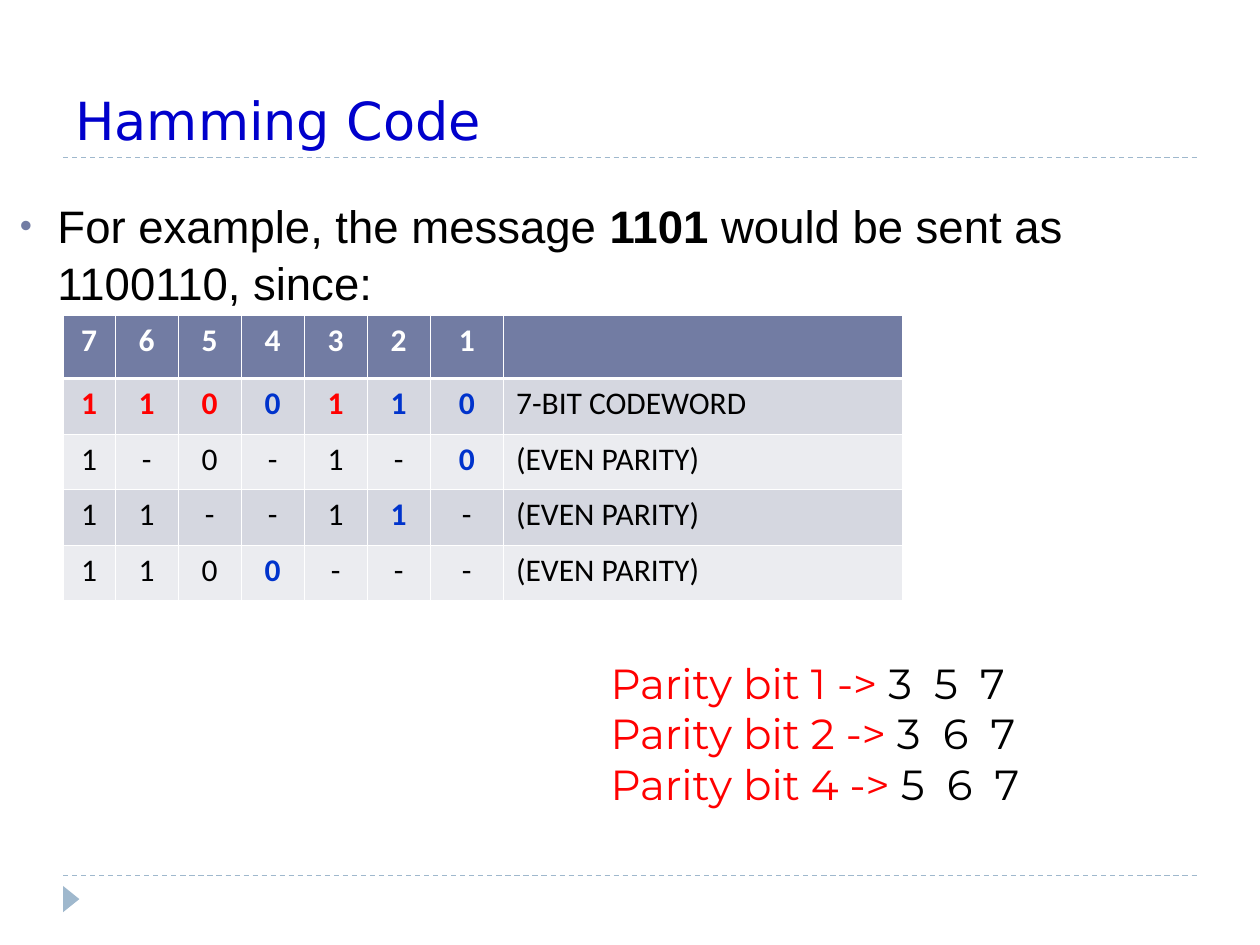
from typing import NamedTuple

import lxml.etree
import pptx
import pptx.dml.color
import pptx.enum.dml
import pptx.enum.shapes
import pptx.enum.text
import pptx.oxml.ns
import pptx.util

Cm, Pt = pptx.util.Cm, pptx.util.Pt
ALIGN = pptx.enum.text.PP_ALIGN
ANCHOR = pptx.enum.text.MSO_ANCHOR

COLORS = {
    "black": "000000", "white": "FFFFFF", "red": "FF0000", "title": "0000CC",
    "parity": "0033CC", "rule": "9FB8CD", "header": "727CA3",
    "band_dark": "D5D7E0", "band_light": "EBECF0",
}


class Box(NamedTuple):
    x: float
    y: float
    w: float
    h: float


class Row(NamedTuple):
    bits: str
    note: str
    fill: str
    red: str = ""   # column numbers of the data bits
    blue: str = ""  # column numbers of the parity bits


class Check(NamedTuple):
    parity: str
    covers: str


COLUMNS = "7654321"
ROWS = [
    Row(COLUMNS, "", "header"),
    Row("1100110", "7-BIT CODEWORD", "band_dark", red="7653", blue="421"),
    Row("1-0-1-0", "(EVEN PARITY)", "band_light", blue="1"),
    Row("11--11-", "(EVEN PARITY)", "band_dark", blue="2"),
    Row("1100---", "(EVEN PARITY)", "band_light", blue="4"),
]
CHECKS = [Check("1", "3 5 7"), Check("2", "3 6 7"), Check("4", "5 6 7")]


def rgb(name: str) -> pptx.dml.color.RGBColor:
    return pptx.dml.color.RGBColor.from_string(COLORS[name])


def sub(parent, tag: str, **attrs: str):
    return lxml.etree.SubElement(parent, pptx.oxml.ns.qn(tag), attrs)


def add_text(p, text: str, *, size: float, font: str, color: str = "black",
             bold: bool = False, spacing: float = 0) -> None:
    r = p.add_run()
    r.text = text
    r.font.size = Pt(size)
    r.font.name = font
    r.font.bold = bold
    r.font.color.rgb = rgb(color)
    if spacing:
        r.font._element.set("spc", str(round(spacing * 100)))


def add_box(s, box: Box, anchor=ANCHOR.TOP):
    tf = s.shapes.add_textbox(*map(Cm, box)).text_frame
    tf.word_wrap = True
    tf.vertical_anchor = anchor
    return tf


def add_rule(s, y: float) -> None:
    line = s.shapes.add_connector(pptx.enum.shapes.MSO_CONNECTOR.STRAIGHT,
                                  Cm(1.27), Cm(y), Cm(24.13), Cm(y))
    line.line.color.rgb = rgb("rule")
    line.line.width = Pt(0.75)
    line.line.dash_style = pptx.enum.dml.MSO_LINE.DASH
    sub(line._element.spPr, "a:effectLst")


def add_bullet(p) -> None:
    pPr = p._p.get_or_add_pPr()
    pPr.set("marL", str(Cm(0.76)))
    pPr.set("indent", str(-Cm(0.76)))
    sub(sub(pPr, "a:buClr"), "a:srgbClr", val=COLORS["header"])
    sub(pPr, "a:buSzPct", val="76000")
    sub(pPr, "a:buFont", typeface="Arial")
    sub(pPr, "a:buChar", char="•")


def style_cell(cell, fill: str, top: float, bottom: float) -> None:
    tcPr = cell._tc.get_or_add_tcPr()
    for side, width in zip("LRTB", (0.45, 0.45, top, bottom)):
        ln = sub(tcPr, f"a:ln{side}", w=str(Pt(width)))
        sub(sub(ln, "a:solidFill"), "a:srgbClr", val=COLORS["white"])
    cell.fill.solid()
    cell.fill.fore_color.rgb = rgb(fill)


def add_code_table(s, box: Box) -> None:
    table = s.shapes.add_table(len(ROWS), len(COLUMNS) + 1, *map(Cm, box)).table
    widths = [1.05] + [1.27] * 5 + [1.48, 8.05]
    for col, width in zip(table.columns, widths):
        col.width = Cm(width)
    for i, row in enumerate(ROWS):
        table.rows[i].height = Cm(1.12 if i else 1.27)
        for j, text in enumerate([*row.bits, row.note]):
            cell = table.cell(i, j)
            style_cell(cell, row.fill, top=1.47 if i == 1 else 0.45,
                       bottom=0.45 if i else 1.47)
            column = COLUMNS[j:j + 1] or "note"
            color = ("white" if i == 0 else "red" if column in row.red
                     else "parity" if column in row.blue else "black")
            p = cell.text_frame.paragraphs[0]
            p.alignment = ALIGN.LEFT if column == "note" else ALIGN.CENTER
            if text:
                add_text(p, text, size=18, font="Calibri", color=color,
                         bold=color != "black")


def main() -> None:
    prs = pptx.Presentation()
    prs.slide_width, prs.slide_height = Cm(25.4), Cm(19.05)
    s = prs.slides.add_slide(prs.slide_layouts[6])

    # Dashed rules and the footer marker
    for y in (17.65, 3.17):
        add_rule(s, y)
    sp = s.shapes.add_shape(pptx.enum.shapes.MSO_SHAPE.ISOSCELES_TRIANGLE,
                            Cm(1.17), Cm(17.96), Cm(0.53), Cm(0.33))
    sp.rotation = 90
    sp.shadow.inherit = False
    sp.fill.solid()
    sp.fill.fore_color.rgb = rgb("rule")
    sp.line.fill.background()

    # Title
    tf = add_box(s, Box(1.27, 0.43, 22.86, 2.74), ANCHOR.BOTTOM)
    add_text(tf.paragraphs[0], "Hamming Code", size=30, font="DejaVu Sans",
             color="title")

    # Example message
    p = add_box(s, Box(0.15, 3.81, 22.86, 13.72)).paragraphs[0]
    add_bullet(p)
    p.line_spacing = 1.05
    for text, bold in (("For example, the message ", False), ("1101", True),
                       (" would be sent as 1100110, since:", False)):
        add_text(p, text, size=26, font="Arial", bold=bold)

    # Codeword and its parity checks
    add_code_table(s, Box(1.27, 6.36, 16.93, 5.75))

    # Bits covered by each parity bit
    tf = add_box(s, Box(12.06, 13.13, 11.23, 4.32))
    for i, check in enumerate(CHECKS):
        p = tf.add_paragraph() if i else tf.paragraphs[0]
        add_text(p, f"Parity bit {check.parity} -> ", size=24,
                 font="Montserrat", color="red")
        add_text(p, check.covers, size=24, font="Montserrat", spacing=3.2)

    prs.save("out.pptx")


if __name__ == "__main__":
    main()
